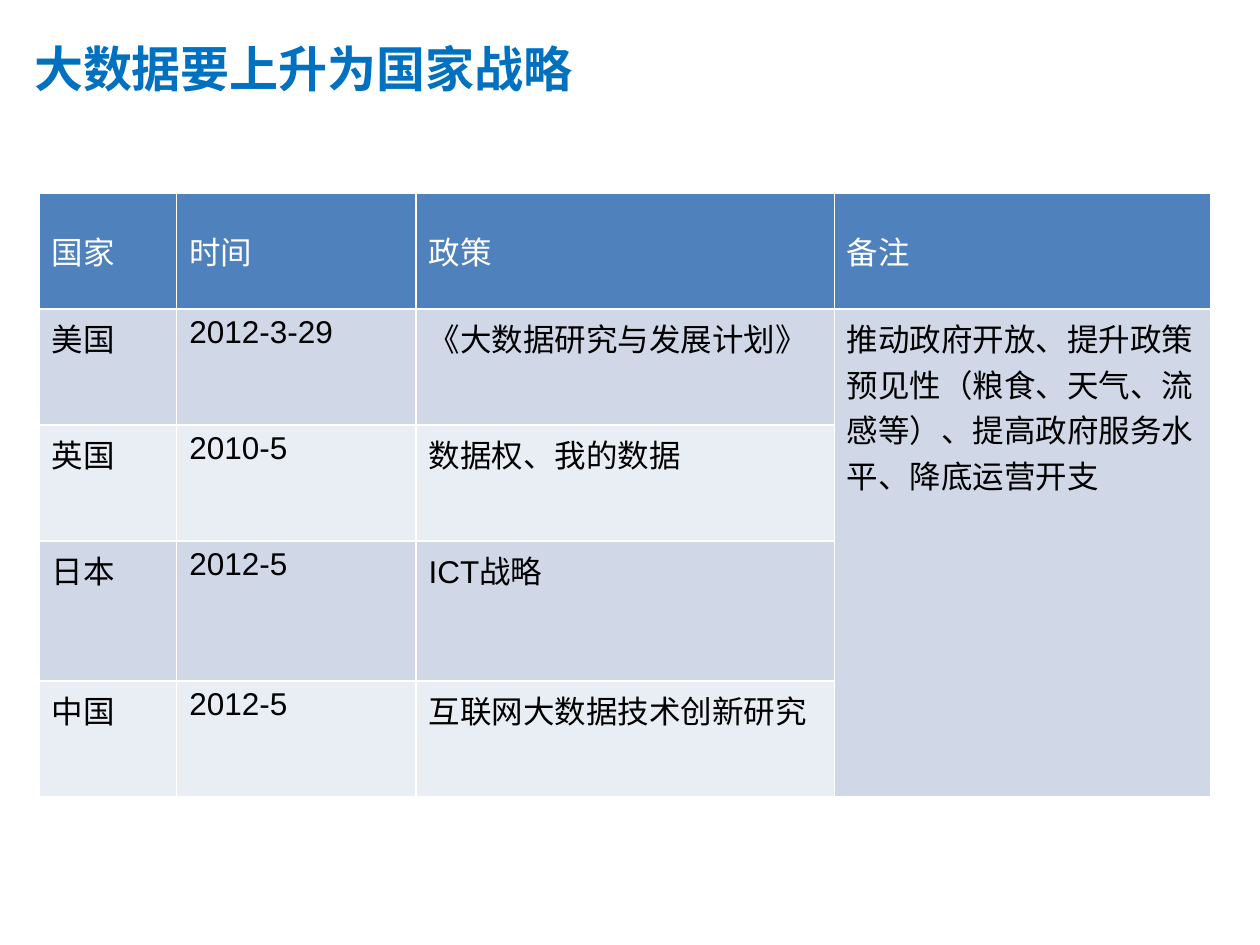
"""Build a slide with a table of national big data strategies."""
from lxml import etree
from pptx import Presentation
from pptx.dml.color import RGBColor
from pptx.enum import text
from pptx.oxml import ns
from pptx.util import Pt

TITLE = "大数据要上升为国家战略"
HEAD = ["国家", "时间", "政策", "备注"]
ROWS = [
    ["美国", "2012-3-29", "《大数据研究与发展计划》"],
    ["英国", "2010-5", "数据权、我的数据"],
    ["日本", "2012-5", "ICT战略"],
    ["中国", "2012-5", "互联网大数据技术创新研究"],
]
NOTE = "推动政府开放、提升政策预见性（粮食、天气、流感等）、提高政府服务水平、降底运营开支"

THEME = {
    "latin": "Arial", "cjk": "Noto Sans CJK SC",
    "title": "0070C0", "head": "4F81BD", "bands": ["D0D8E8", "E9EDF4"],
    "light": "FFFFFF", "dark": "000000",
    "big": 28, "body": 18,
}
WIDTHS = [78.5, 136.8, 239, 215.3]
HEIGHTS = [66.3, 66.3, 66.3, 80, 66.3]


def put(item, attrs):
    for name, value in attrs.items():
        setattr(item, name, value)


def write(frame, words, face, size, color, bold=False):
    line = frame.paragraphs[0]
    run = line.add_run()
    run.text = words
    put(run.font, {"name": face, "size": Pt(size), "bold": bold})
    run.font.color.rgb = RGBColor.from_string(color)
    east = etree.SubElement(run.font._element, ns.qn("a:ea"))
    east.set("typeface", THEME["cjk"])
    return line


def add_title(slide):
    box = slide.shapes.title
    put(box, {"left": Pt(0), "top": Pt(26), "width": Pt(461.5), "height": Pt(44.6)})
    put(box.text_frame, {
        "margin_left": Pt(19.5), "margin_top": 0, "margin_right": 0,
        "margin_bottom": 0, "word_wrap": True,
        "vertical_anchor": text.MSO_ANCHOR.TOP,
    })
    line = write(box.text_frame, TITLE, THEME["cjk"], THEME["big"], THEME["title"], True)
    put(line, {"alignment": text.PP_ALIGN.LEFT, "line_spacing": 0.9})


def add_table(slide):
    grid = slide.shapes.add_table(
        len(HEIGHTS), len(WIDTHS), Pt(22.5), Pt(110.2),
        Pt(sum(WIDTHS)), Pt(sum(HEIGHTS))).table
    for col, width in zip(grid.columns, WIDTHS):
        col.width = Pt(width)
    for row, height in zip(grid.rows, HEIGHTS):
        row.height = Pt(height)
    last = len(HEAD) - 1
    grid.cell(1, last).merge(grid.cell(len(ROWS), last))
    data = [HEAD, ROWS[0] + [NOTE]] + ROWS[1:]
    for r, words in enumerate(data):
        fill = THEME["bands"][(r - 1) % 2] if r else THEME["head"]
        color = THEME["dark"] if r else THEME["light"]
        for c, word in enumerate(words):
            cell = grid.cell(r, c)
            cell.fill.solid()
            cell.fill.fore_color.rgb = RGBColor.from_string(fill)
            cell.vertical_anchor = text.MSO_ANCHOR.TOP if r else text.MSO_ANCHOR.MIDDLE
            write(cell.text_frame, word, THEME["latin"], THEME["body"], color)


def main():
    deck = Presentation()
    put(deck, {"slide_width": Pt(720), "slide_height": Pt(540)})
    slide = deck.slides.add_slide(deck.slide_layouts[5])
    add_title(slide)
    add_table(slide)
    deck.save("out.pptx")


if __name__ == "__main__":
    main()
